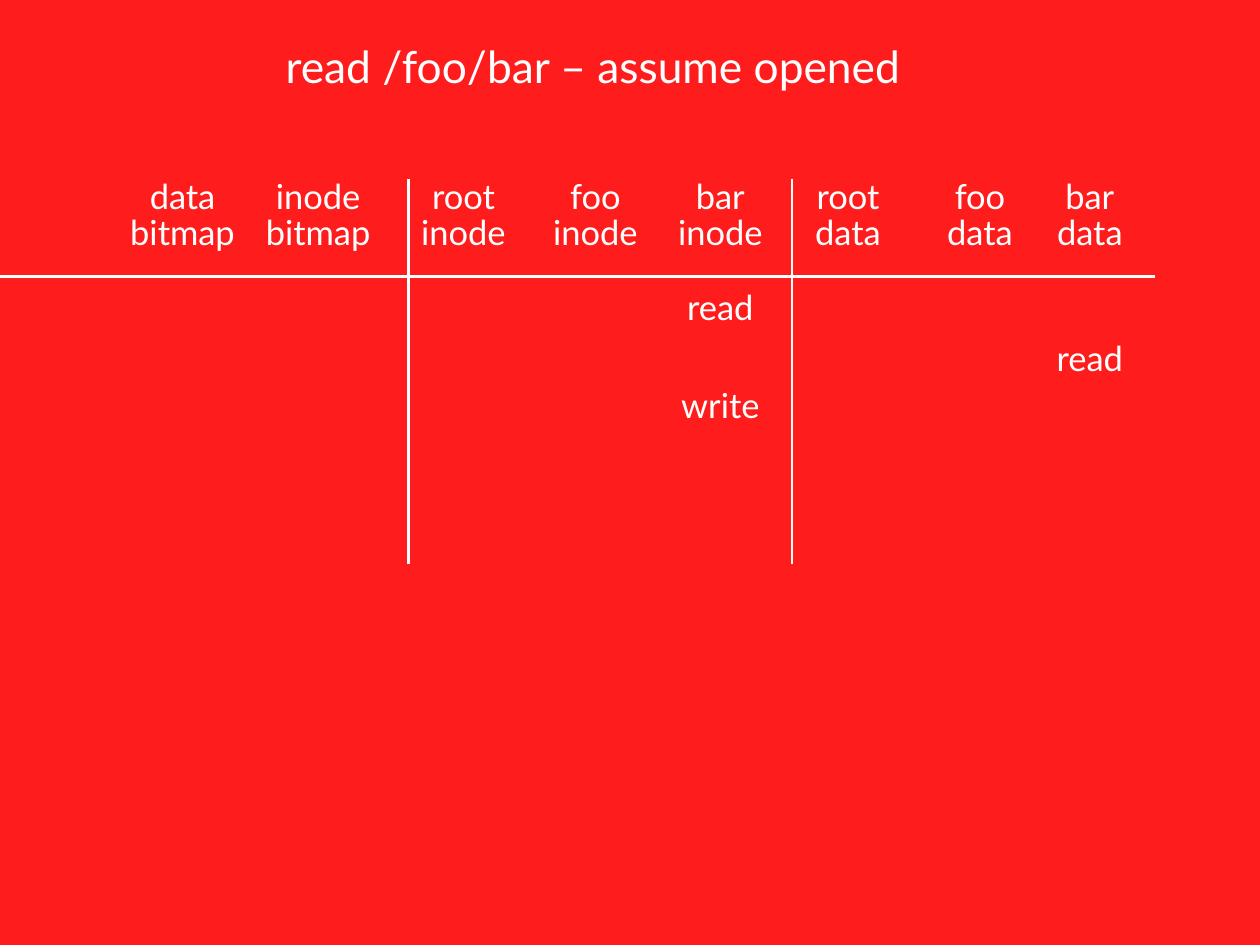
from pptx import Presentation
from pptx.dml.color import RGBColor
from pptx.enum.text import MSO_ANCHOR, PP_ALIGN
from pptx.oxml.ns import qn
from pptx.util import Inches, Pt
from lxml.etree import SubElement


def color(code):
    return RGBColor.from_string(code)


def label(text, mid, top, wide, high=0.58, size=28, font="Lato", ink="FFFFFF"):
    box = slide.shapes.add_textbox(Inches(mid - wide / 2), Inches(top),
                                   Inches(wide), Inches(high))
    frame = box.text_frame
    frame.word_wrap = True
    frame.vertical_anchor = MSO_ANCHOR.MIDDLE
    frame.margin_left = frame.margin_right = Inches(0.06)
    frame.margin_top = frame.margin_bottom = Inches(0.06)
    para = frame.paragraphs[0]
    para.alignment = PP_ALIGN.CENTER
    run = para.add_run()
    run.text = text
    run.font.name = font
    run.font.size = Pt(size)
    run.font.color.rgb = color(ink)


deck = Presentation()
deck.slide_width = Inches(14.22)
deck.slide_height = Inches(10.67)
slide = deck.slides.add_slide(deck.slide_layouts[6])

# Background
fill = slide.background.fill
fill.solid()
fill.fore_color.rgb = color("FF1C1C")

# Title
label("read /foo/bar – assume opened", 6.69, 0.38, 7.7, high=0.72, size=36)

# Column heads: two words over each column centre
width = {"data": 1.01, "inode": 1.23, "bitmap": 1.5, "root": 0.88,
         "foo": 0.75, "bar": 0.8, "read": 1.03, "write": 1.06}
heads = [("data", "bitmap", 2.06), ("inode", "bitmap", 3.59),
         ("root", "inode", 5.23), ("foo", "inode", 6.72),
         ("bar", "inode", 8.13), ("root", "data", 9.57),
         ("foo", "data", 11.06), ("bar", "data", 12.3)]
mids = {}
for upper, lower, mid in heads:
    label(upper, mid, 1.92, width[upper])
    label(lower, mid, 2.33, width[lower])
    mids[upper, lower] = mid

# Rules between heads, inodes and data
for left, top, right, base in [(0, 3.12, 13.03, 3.12),
                               (4.61, 2.02, 4.61, 6.37),
                               (8.94, 2.02, 8.94, 6.37)]:
    rule = slide.shapes.add_connector(1, Inches(left), Inches(top),
                                      Inches(right), Inches(base))
    rule.line.color.rgb = color("FFFFFF")
    rule.line.width = Pt(2)
    SubElement(rule._element.spPr, qn("a:effectLst"))

# Accesses in time order
for act, lower, top in [("read", "inode", 3.17), ("read", "data", 3.75),
                        ("write", "inode", 4.28)]:
    label(act, mids["bar", lower], top, width[act])

deck.save("out.pptx")
